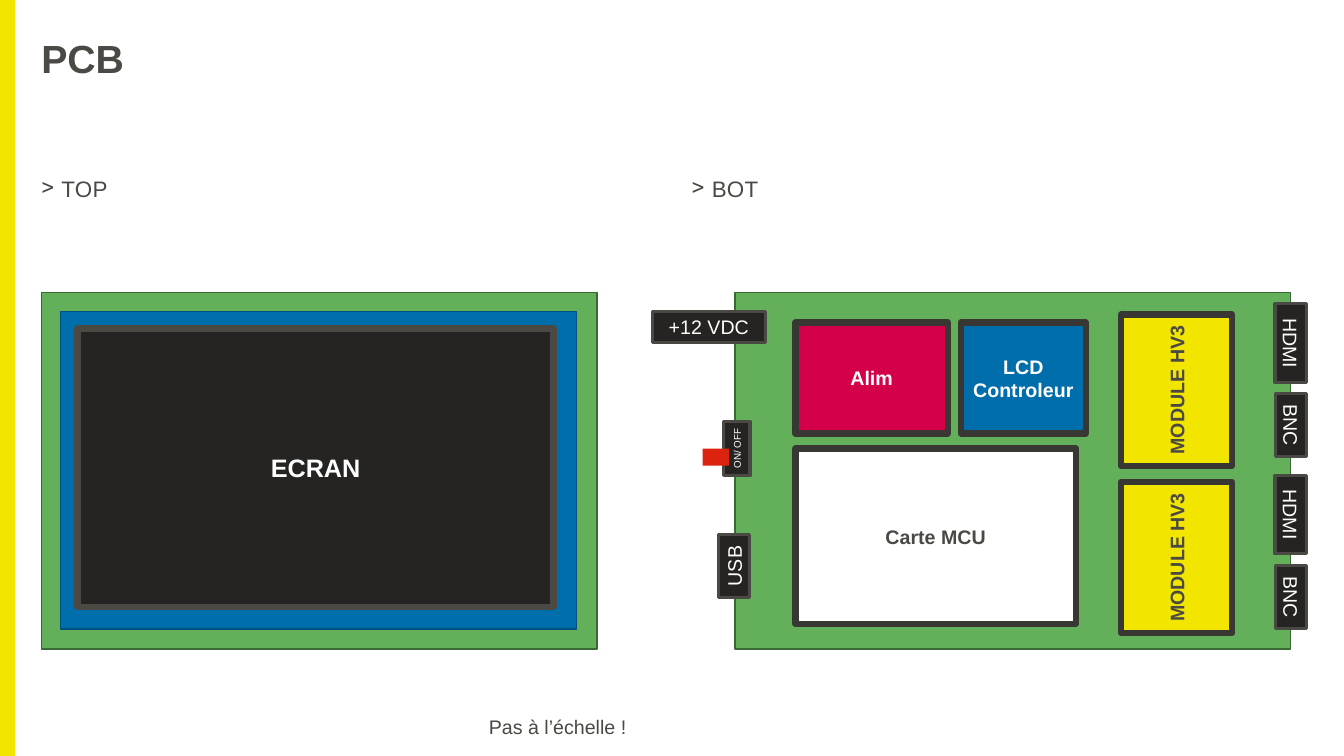
from lxml.etree import SubElement
from pptx import Presentation
from pptx.dml.color import RGBColor
from pptx.enum.shapes import MSO_SHAPE
from pptx.enum.text import MSO_ANCHOR, MSO_AUTO_SIZE, PP_ALIGN
from pptx.oxml.ns import qn
from pptx.util import Inches, Pt

YELLOW = RGBColor(0xF2, 0xE5, 0x00)
GREEN = RGBColor(0x64, 0xAF, 0x5A)
GREEN_EDGE = RGBColor(0x3A, 0x6A, 0x34)
BLUE = RGBColor(0x00, 0x6E, 0xAA)
BLUE_EDGE = RGBColor(0x00, 0x50, 0x82)
CRIMSON = RGBColor(0xD4, 0x00, 0x4A)
RED = RGBColor(0xDC, 0x23, 0x0F)
BLACK = RGBColor(0x25, 0x24, 0x22)
GREY = RGBColor(0x4A, 0x49, 0x44)
DARK_GREY = RGBColor(0x38, 0x37, 0x33)
WHITE = RGBColor(0xFF, 0xFF, 0xFF)


def write(shape, text, size=14, color=GREY, bold=False, align=PP_ALIGN.LEFT,
          anchor=MSO_ANCHOR.TOP, wrap=True, margin=0):
    frame = shape.text_frame
    frame.word_wrap = wrap
    frame.vertical_anchor = anchor
    frame.margin_left = frame.margin_right = Inches(margin)
    frame.margin_top = frame.margin_bottom = Inches(margin / 2)
    frame.text = text
    for paragraph in frame.paragraphs:
        paragraph.alignment = align
        font = paragraph.runs[0].font
        font.name, font.size, font.bold = "Arial", Pt(size), bold
        font.color.rgb = color
    return frame


def add_block(left, top, width, height, fill, edge=None, weight=1, text="",
              rotation=0, **text_format):
    shape = slide.shapes.add_shape(MSO_SHAPE.RECTANGLE, Inches(left), Inches(top),
                                   Inches(width), Inches(height))
    shape.shadow.inherit = False
    shape.rotation = rotation
    shape.fill.solid()
    shape.fill.fore_color.rgb = fill
    if edge is None:
        shape.line.fill.background()
    else:
        shape.line.color.rgb = edge
        shape.line.width = Pt(weight)
    if text:
        write(shape, text, align=PP_ALIGN.CENTER, anchor=MSO_ANCHOR.MIDDLE, **text_format)
    return shape


presentation = Presentation()
presentation.slide_width = Inches(13.33)
presentation.slide_height = Inches(7.5)
slide = presentation.slides.add_slide(presentation.slide_layouts[5])

add_block(0, 0, 0.15, 7.5, YELLOW)

title = slide.shapes.title
title.left, title.top = Inches(0.41), Inches(0.39)
title.width, title.height = Inches(12.52), Inches(0.4)
title_frame = write(title, "PCB", size=28, bold=True)
title_frame.auto_size = MSO_AUTO_SIZE.NONE
title_frame.paragraphs[0].line_spacing = 0.9

# Headings of the two board sides
for left, side in ((0.41, "TOP"), (6.86, "BOT")):
    heading = slide.shapes.add_textbox(Inches(left), Inches(1.74), Inches(6.06), Inches(0.31))
    paragraph = write(heading, side, size=16).paragraphs[0]
    paragraph.space_after = Pt(2)
    properties = paragraph._p.get_or_add_pPr()
    properties.set("marL", str(Inches(0.2)))
    properties.set("indent", str(-Inches(0.2)))
    SubElement(properties, qn("a:buChar")).set("char", ">")
    paragraph.runs[0].font._element.set("spc", "20")

# Boards
for left in (0.41, 7.29):
    add_block(left, 2.9, 5.51, 3.54, GREEN, GREEN_EDGE)

# Top side: screen
add_block(0.6, 3.09, 5.12, 3.15, BLUE, BLUE_EDGE)
add_block(0.77, 3.26, 4.72, 2.76, BLACK, GREY, 4.5, "ECRAN", size=18, color=WHITE, bold=True)

# Bottom side: modules
modules = (
    (7.89, 4.45, 2.78, 1.74, WHITE, "Carte MCU", GREY, 0),
    (10.92, 3.32, 1.5, 1.1, YELLOW, "MODULE HV3", GREY, 270),
    (10.92, 4.98, 1.5, 1.1, YELLOW, "MODULE HV3", GREY, 270),
    (7.89, 3.2, 1.51, 1.1, CRIMSON, "Alim", WHITE, 0),
    (9.53, 3.2, 1.24, 1.1, BLUE, "LCD\nControleur", WHITE, 0),
)
for left, top, width, height, fill, name, color, rotation in modules:
    add_block(left, top, width, height, fill, DARK_GREY, 4.5, name, rotation,
              color=color, bold=True)

# Bottom side: connectors and switch
connectors = (
    (6.47, 3.09, 1.12, "+12 VDC", 0),
    (6.97, 5.46, 0.62, "USB", 270),
    (12.41, 3.25, 0.78, "HDMI", 90),
    (12.49, 4.06, 0.63, "BNC", 90),
    (12.41, 4.95, 0.78, "HDMI", 90),
    (12.49, 5.77, 0.63, "BNC", 90),
)
for left, top, width, name, rotation in connectors:
    add_block(left, top, width, 0.31, BLACK, GREY, 2.25, name, rotation, color=WHITE)

switch = add_block(7.18, 4.18, 0.26, 0.54, BLACK, GREY, 2.25, "ON/ OFF", size=7, color=WHITE)
switch.text_frame._txBody.bodyPr.set("vert", "vert270")
add_block(6.97, 4.45, 0.26, 0.17, RED)

note = slide.shapes.add_textbox(Inches(4.75), Inches(7.04), Inches(1.57), Inches(0.34))
write(note, "Pas à l’échelle !", wrap=False, margin=0.1)

presentation.save("out.pptx")
